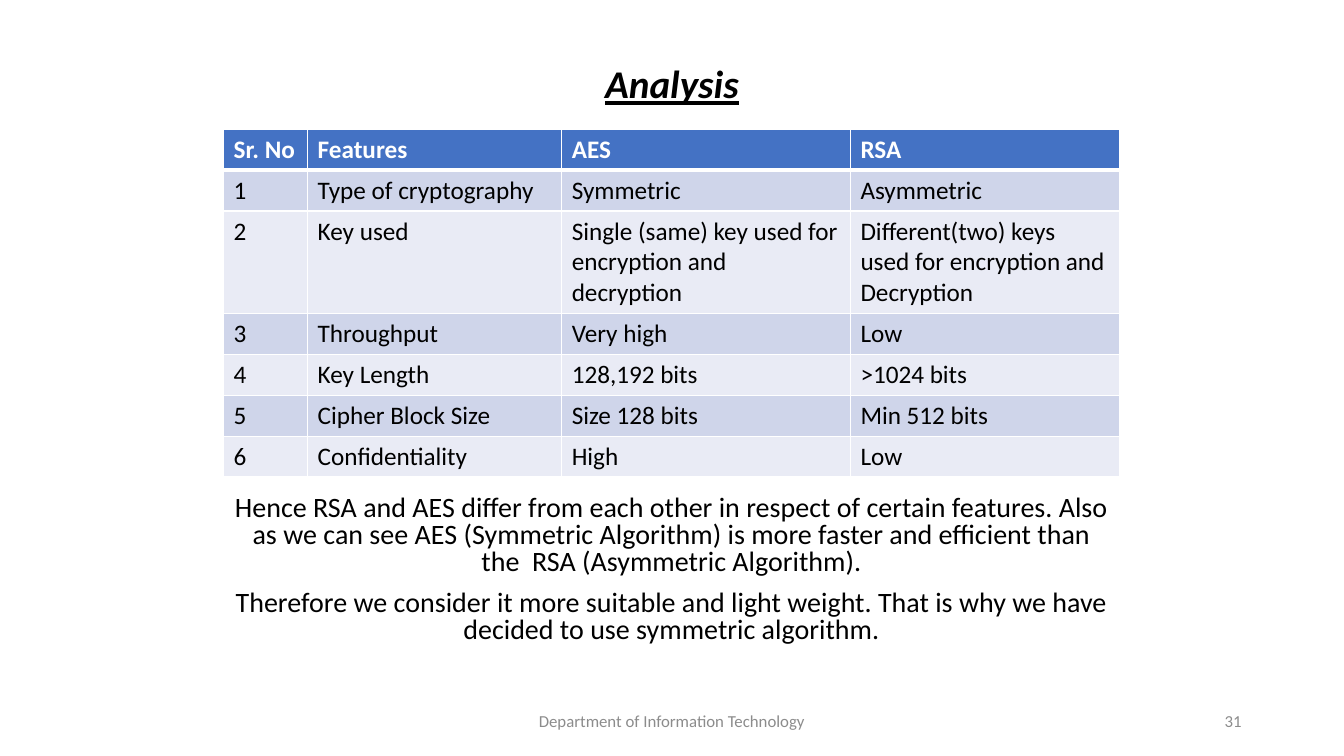
from lxml import etree
from pptx import Presentation
from pptx import util as u
from pptx.dml.color import RGBColor
from pptx.enum import text
from pptx.oxml import ns

PX = 9525
FONT = "Calibri"
COLORS = {
    "ink": "000000",
    "paper": "FFFFFF",
    "header": "4472C4",
    "odd": "CFD5EA",
    "even": "E9EBF5",
    "footer": "8C8C8C",
}
COLUMN_WIDTHS = [80, 242, 275, 256]
ROW_HEIGHT = 39
FEATURES = [
    ("Sr. No", "Features", "AES", "RSA"),
    ("1", "Type of cryptography", "Symmetric", "Asymmetric"),
    ("2", "Key used", "Single (same) key used for encryption and decryption",
     "Different(two) keys used for encryption and Decryption"),
    ("3", "Throughput", "Very high", "Low"),
    ("4", "Key Length", "128,192 bits", ">1024 bits"),
    ("5", "Cipher Block Size", "Size 128 bits", "Min 512 bits"),
    ("6", "Confidentiality", "High", "Low"),
]
CONCLUSIONS = [
    "Hence RSA and AES differ from each other in respect of certain features. "
    "Also as we can see AES (Symmetric Algorithm) is more faster and efficient "
    "than the  RSA (Asymmetric Algorithm).",
    "Therefore we consider it more suitable and light weight. "
    "That is why we have decided to use symmetric algorithm.",
]


def px(*lengths):
    return [u.Emu(length * PX) for length in lengths]


def rgb(name):
    return RGBColor.from_string(COLORS[name])


def add_run(paragraph, words, size, color, bold=False):
    run = paragraph.add_run()
    run.text = words
    run.font.name = FONT
    run.font.size = u.Pt(size)
    run.font.bold = bold
    run.font.color.rgb = rgb(color)
    return run


def place(holder, box, anchor):
    holder.left, holder.top, holder.width, holder.height = px(*box)
    frame = holder.text_frame
    frame.word_wrap = True
    frame.auto_size = text.MSO_AUTO_SIZE.NONE
    frame.vertical_anchor = anchor
    return frame


def fill_title(holder):
    frame = place(holder, (160, 51, 960, 56), text.MSO_ANCHOR.BOTTOM)
    heading = frame.paragraphs[0]
    heading.alignment = text.PP_ALIGN.CENTER
    heading.line_spacing = 0.9
    run = add_run(heading, "Analysis", 28, "ink", bold=True)
    run.font.italic = True
    run.font.underline = True


def fill_conclusions(holder):
    frame = place(holder, (213, 468, 853, 165), text.MSO_ANCHOR.TOP)
    for index, words in enumerate(CONCLUSIONS):
        conclusion = frame.add_paragraph() if index else frame.paragraphs[0]
        conclusion.alignment = text.PP_ALIGN.CENTER
        conclusion.line_spacing = 0.8
        conclusion.space_before = u.Pt(10)
        add_run(conclusion, words, 20, "ink")


def add_border(cell, side, points):
    line = etree.SubElement(cell._tc.get_or_add_tcPr(), ns.qn(f"a:ln{side}"),
                            w=str(u.Pt(points)))
    fill = etree.SubElement(line, ns.qn("a:solidFill"))
    etree.SubElement(fill, ns.qn("a:srgbClr"), val=COLORS["paper"])


def add_features(slide):
    box = px(213, 123, sum(COLUMN_WIDTHS), ROW_HEIGHT * len(FEATURES))
    features = slide.shapes.add_table(len(FEATURES), len(COLUMN_WIDTHS), *box).table
    for column, width in zip(features.columns, px(*COLUMN_WIDTHS)):
        column.width = width
    for index, entries in enumerate(FEATURES):
        is_header = index == 0
        shade = "header" if is_header else "odd" if index % 2 else "even"
        features.rows[index].height = u.Emu(ROW_HEIGHT * PX)
        for cell, words in zip(features.rows[index].cells, entries):
            for side in "LRTB":
                heavy = (side == "B" and index == 0) or (side == "T" and index == 1)
                add_border(cell, side, 3 if heavy else 1)
            cell.fill.solid()
            cell.fill.fore_color.rgb = rgb(shade)
            add_run(cell.text_frame.paragraphs[0], words, 18,
                    "paper" if is_header else "ink", bold=is_header)


def add_footer(slide, box, words, alignment):
    footer = slide.shapes.add_textbox(*px(*box))
    line = place(footer, box, text.MSO_ANCHOR.MIDDLE).paragraphs[0]
    line.alignment = alignment
    add_run(line, words, 12, "footer")


def main():
    deck = Presentation()
    deck.slide_width, deck.slide_height = px(1280, 720)
    slide = deck.slides.add_slide(deck.slide_layouts[0])
    fill_title(slide.shapes.title)
    fill_conclusions(slide.placeholders[1])
    add_features(slide)
    add_footer(slide, (424, 667, 432, 38), "Department of Information Technology",
               text.PP_ALIGN.CENTER)
    add_footer(slide, (904, 667, 288, 38), "31", text.PP_ALIGN.RIGHT)
    deck.save("out.pptx")


if __name__ == "__main__":
    main()
